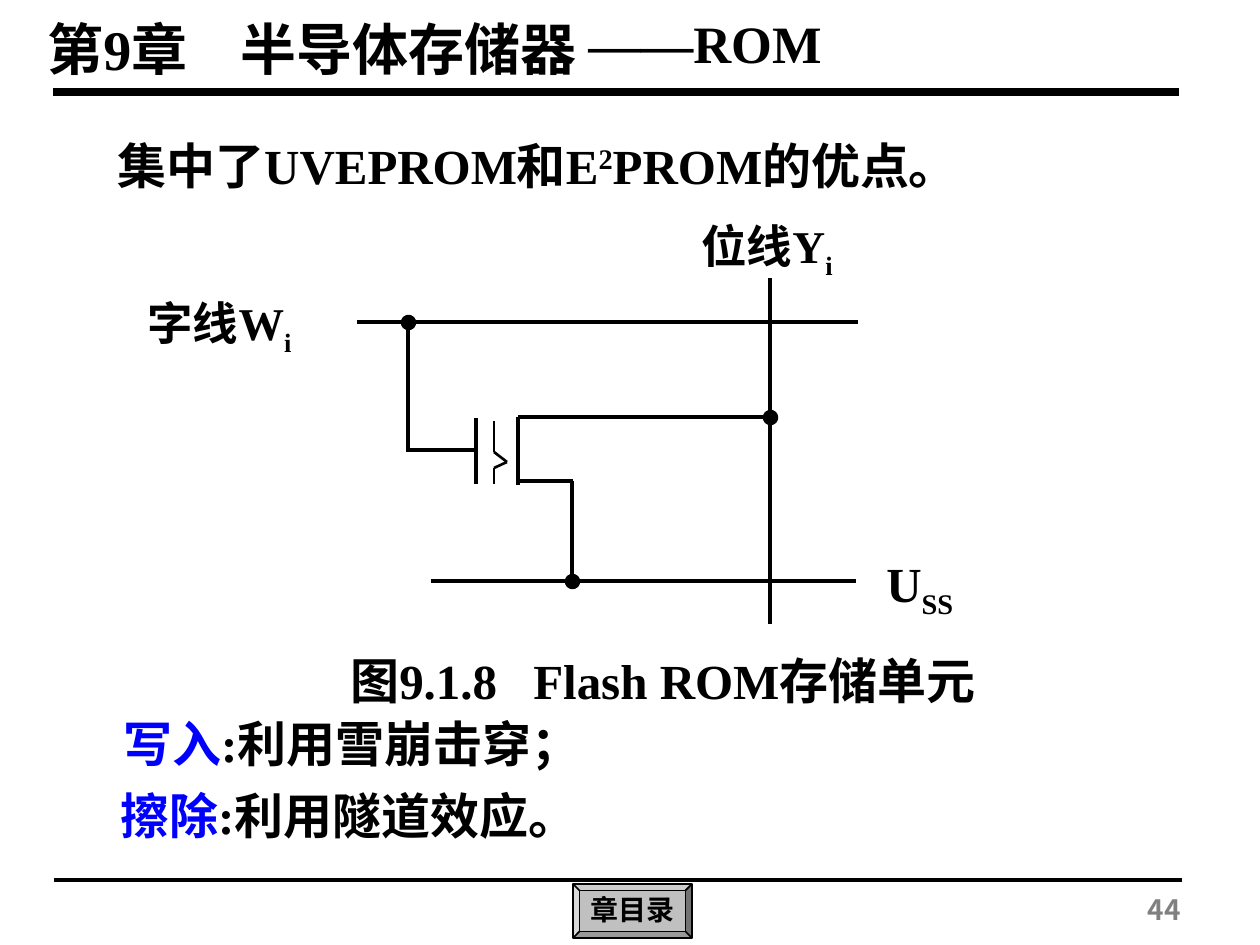
import pptx
import pptx.util
import pptx.dml.color
import pptx.enum.shapes
import pptx.enum.text
from lxml import etree

PX = 914400 // 126  # EMU per px
SLIDE = (1260, 945)

THEME = {
    "latin": "Times New Roman", "cjk": "Noto Sans CJK SC",
    "ink": "000000", "accent": "0000FF", "muted": "808080", "button": "C0C0C0",
    "title": 32, "subtitle": 30, "body": 28, "label": 26, "small": 16,
    "rule": 4.5, "wire": 2.25, "gate": 1.5, "dot": 6, "edge": 1,
}

# Text: box (left, top, width, height), size, runs of (text, colour, baseline %), tab stop
TEXTS = [
    ((35, 8, 583, 81), "title", [("第9章\t半导体存储器", "ink", 0)], 193),
    ((576, 5, 306, 76), "subtitle", [("——ROM", "ink", 0)], None),
    ((105, 129, 915, 72), "body",
     [("集中了UVEPROM和E", "ink", 0), ("2", "ink", 30), ("PROM的优点。", "ink", 0)], None),
    ((135, 289, 207, 76), "label", [("字线W", "ink", 0), ("i", "ink", -25)], None),
    ((689, 212, 214, 76), "label", [("位线Y", "ink", 0), ("i", "ink", -25)], None),
    ((874, 547, 127, 79), "body", [("U", "ink", 0), ("SS", "ink", -25)], None),
    ((338, 644, 723, 72), "body", [("图9.1.8\tFlash ROM存储单元", "ink", 0)], 183),
    ((111, 707, 520, 72), "body",
     [("写入", "accent", 0), (":利用雪崩击穿；", "ink", 0)], None),
    ((108, 779, 533, 72), "body",
     [("擦除", "accent", 0), (":利用隧道效应。", "ink", 0)], None),
]
PAGE_NUMBER = ((1057, 886, 136, 49), "44")
CONTENTS_BUTTON = ((573, 884, 119, 54), "章目录")

# Circuit: the nodes where wires join, then every wire as (x1, y1, x2, y2)
WORD_NODE, BIT_NODE, GROUND_NODE = (408, 322), (770, 417), (572, 581)
GATE_X, CHANNEL_X, GATE_Y, SOURCE_Y = 476, 518, 450, 481
WIRES = [
    (357, WORD_NODE[1], 858, WORD_NODE[1]),        # word line
    (BIT_NODE[0], 278, BIT_NODE[0], 624),          # bit line
    (431, GROUND_NODE[1], 856, GROUND_NODE[1]),    # USS line
    (*WORD_NODE, WORD_NODE[0], GATE_Y + 2),        # word line to gate
    (WORD_NODE[0], GATE_Y, GATE_X, GATE_Y),
    (GATE_X, 418, GATE_X, 484),                    # control gate
    (CHANNEL_X, 417, CHANNEL_X, 485),              # channel
    (CHANNEL_X, BIT_NODE[1], *BIT_NODE),           # drain
    (CHANNEL_X, SOURCE_Y, GROUND_NODE[0] + 1, SOURCE_Y),  # source
    (GROUND_NODE[0], SOURCE_Y, *GROUND_NODE),
]
FLOATING_GATE = [(494, 484), (494, 468), (507, 462), (494, 452), (494, 421)]
RULES = [((53, 92, 1179, 92), "rule"), ((54, 880, 1182, 880), "wire")]

deck = pptx.Presentation()
deck.slide_width, deck.slide_height = (side * PX for side in SLIDE)
slide = deck.slides.add_slide(deck.slide_layouts[6])
shapes = slide.shapes


def emu(lengths):
    return [length * PX for length in lengths]


def colour(name):
    return pptx.dml.color.RGBColor.from_string(THEME[name])


def add_run(paragraph, text, size, ink="ink", baseline=0, latin="latin"):
    run = paragraph.add_run()
    run.text = text
    run.font.size = pptx.util.Pt(THEME[size])
    run.font.bold = True
    run.font.color.rgb = colour(ink)
    run.font.name = THEME[latin]
    props = run.font._element
    east_asian = etree.SubElement(props, pptx.oxml.ns.qn("a:ea"))
    east_asian.set("typeface", THEME["cjk"])
    if baseline:
        props.set("baseline", str(baseline * 1000))


def add_text_box(box):
    frame = shapes.add_textbox(*emu(box)).text_frame
    frame.word_wrap = True
    return frame.paragraphs[0]


def add_tab_stop(paragraph, position):
    tabs = etree.SubElement(paragraph._p.get_or_add_pPr(), pptx.oxml.ns.qn("a:tabLst"))
    etree.SubElement(tabs, pptx.oxml.ns.qn("a:tab"), pos=str(position * PX), algn="l")


def add_line(ends, weight):
    line = shapes.add_connector(pptx.enum.shapes.MSO_CONNECTOR.STRAIGHT, *emu(ends))
    line.line.color.rgb = colour("ink")
    line.line.width = pptx.util.Pt(THEME[weight])
    etree.SubElement(line._element.spPr, pptx.oxml.ns.qn("a:effectLst"))


def add_filled(kind, box, fill, weight):
    shape = shapes.add_shape(kind, *emu(box))
    shape.shadow.inherit = False
    shape.fill.solid()
    shape.fill.fore_color.rgb = colour(fill)
    shape.line.color.rgb = colour("ink")
    shape.line.width = pptx.util.Pt(THEME[weight])
    return shape


# Header and footer rules
for ends, weight in RULES:
    add_line(ends, weight)

# Contents button
button_box, button_text = CONTENTS_BUTTON
button = add_filled(pptx.enum.shapes.MSO_SHAPE.BEVEL, button_box, "button", "edge")
button.adjustments[0] = 0.12
frame = button.text_frame
frame.word_wrap = True
frame.vertical_anchor = pptx.enum.text.MSO_ANCHOR.MIDDLE
frame.margin_left = frame.margin_right = frame.margin_top = frame.margin_bottom = 5 * PX
frame.paragraphs[0].alignment = pptx.enum.text.PP_ALIGN.CENTER
frame.paragraphs[0].line_spacing = 0.9
add_run(frame.paragraphs[0], button_text, "small")

# Memory cell circuit
for wire in WIRES:
    add_line(wire, "wire")
for start, end in zip(FLOATING_GATE, FLOATING_GATE[1:]):
    add_line((*start, *end), "gate")
for x, y in (WORD_NODE, BIT_NODE, GROUND_NODE):
    add_filled(pptx.enum.shapes.MSO_SHAPE.OVAL, (x - 2, y - 2, 5, 5), "accent", "dot")

# Title, body, labels and caption
for box, size, runs, tab_stop in TEXTS:
    paragraph = add_text_box(box)
    if tab_stop:
        add_tab_stop(paragraph, tab_stop)
    for text, ink, baseline in runs:
        add_run(paragraph, text, size, ink, baseline)

# Page number
number_box, number = PAGE_NUMBER
paragraph = add_text_box(number_box)
paragraph.alignment = pptx.enum.text.PP_ALIGN.RIGHT
add_run(paragraph, number, "small", "muted", latin="cjk")

deck.save("out.pptx")
